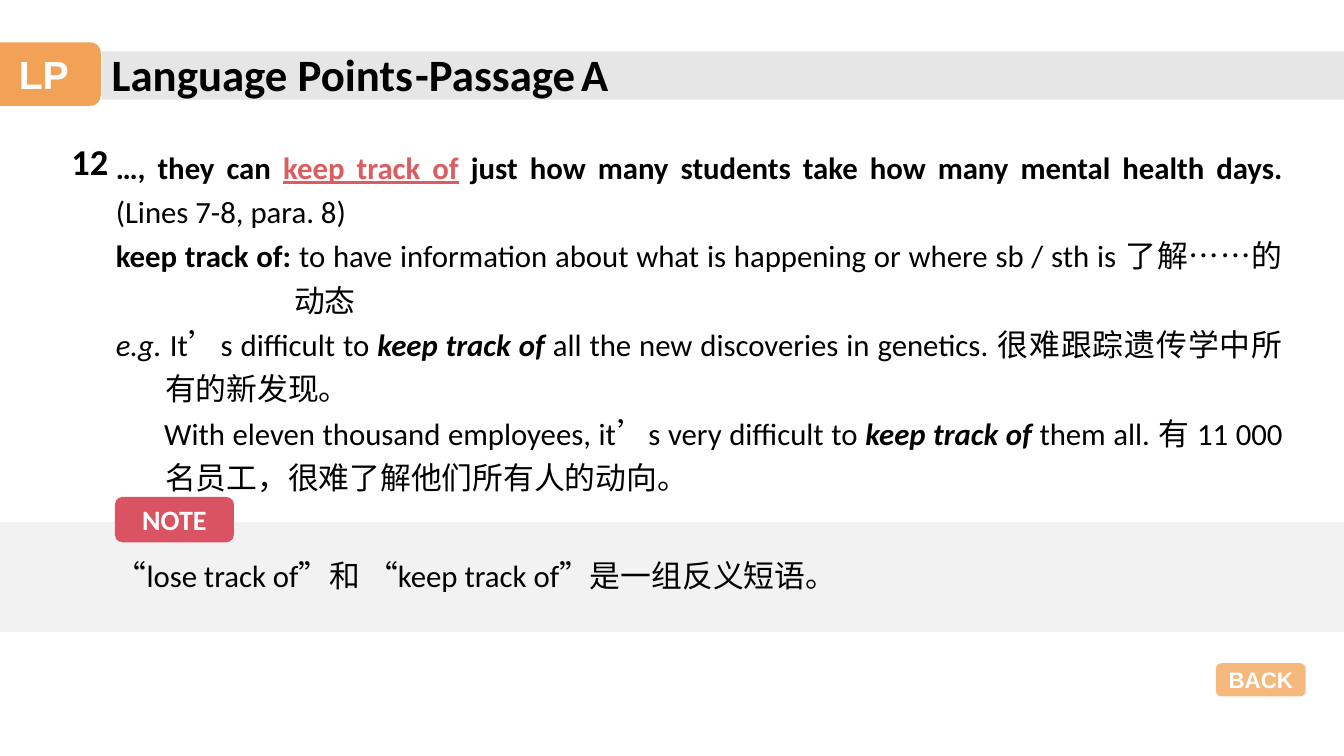
from lxml import etree
from pptx import Presentation
from pptx.dml.color import RGBColor
from pptx.enum.lang import MSO_LANGUAGE_ID
from pptx.enum.shapes import MSO_SHAPE
from pptx.enum.text import MSO_ANCHOR, MSO_AUTO_SIZE, PP_ALIGN
from pptx.oxml.ns import qn
from pptx.util import Inches, Pt

RECT, ROUNDED = MSO_SHAPE.RECTANGLE, MSO_SHAPE.ROUNDED_RECTANGLE
CENTER, JUSTIFY = PP_ALIGN.CENTER, PP_ALIGN.JUSTIFY
MIDDLE = MSO_ANCHOR.MIDDLE
GROW = MSO_AUTO_SIZE.SHAPE_TO_FIT_TEXT
CHINESE = MSO_LANGUAGE_ID.SIMPLIFIED_CHINESE

LATIN_FONT, CJK_FONT = "Calibri", "Noto Sans CJK SC"
ORANGE, RED, KEY_RED = "F19B48", "DA5362", "DD5C60"
WHITE, BLACK = "FFFFFF", "000000"

BOLD = {"bold": True}
PHRASE = {"bold": True, "italic": True}

# Each entry: left margin, first-line indent, runs of (text, format)
EXPLANATION = [
    (0, 0, [
        ("…, they can ", BOLD),
        ("keep track of", {"bold": True, "underline": True, "color": KEY_RED}),
        (" just how many students take how many mental health days. ", BOLD),
        ("(Lines 7-8, para. 8)", {}),
    ]),
    (1.77, -1.77, [
        ("keep track of: ", BOLD),
        ("to have information about what is happening or where sb / sth is 了解", {}),
        ("……", {"name": CJK_FONT}),
        ("的动态 ", {}),
    ]),
    (0.49, -0.49, [
        ("e.g. ", {"italic": True}),
        ("It’s difficult to ", {}),
        ("keep track of ", PHRASE),
        ("all the new discoveries in genetics. 很难跟踪遗传学中所有的新发现。", {}),
    ]),
    (0.49, -0.01, [
        ("With eleven thousand employees, it’s very difficult to ", {}),
        ("keep track of ", PHRASE),
        ("them all. 有 11 000 名员工，很难了解他们所有人的动向。", {}),
    ]),
]
NOTE = [(0, 0, [("“lose track of”和 “keep track of”是一组反义短语。", {})])]


def rgb(color):
    return RGBColor.from_string(color)


def set_font(font, size, color=BLACK, bold=False, name=LATIN_FONT):
    font.size = Pt(size)
    font.bold = bold
    font.color.rgb = rgb(color)
    font.name = name


def add_block(slide, shape_kind, left, top, width, height, color, opacity=100):
    block = slide.shapes.add_shape(
        shape_kind, Inches(left), Inches(top), Inches(width), Inches(height))
    block.shadow.inherit = False
    block.fill.solid()
    block.fill.fore_color.rgb = rgb(color)
    block.line.fill.background()
    if opacity < 100:
        fill_color = block.fill._xPr.find(qn("a:solidFill"))[0]
        etree.SubElement(fill_color, qn("a:alpha")).set("val", str(opacity * 1000))
    return block


def add_badge(slide, label, left, top, width, height, color, size, name, opacity=100):
    badge = add_block(slide, ROUNDED, left, top, width, height, color, opacity)
    frame = badge.text_frame
    frame.vertical_anchor = MIDDLE
    frame.word_wrap = False
    paragraph = frame.paragraphs[0]
    paragraph.text = label
    paragraph.alignment = CENTER
    set_font(paragraph.font, size, WHITE, True, name)


def add_text_frame(slide, left, top, width, height):
    frame = slide.shapes.add_textbox(
        Inches(left), Inches(top), Inches(width), Inches(height)).text_frame
    frame.word_wrap = True
    frame.auto_size = GROW
    return frame


def add_heading(slide, left, top, width, height, runs):
    """Add one bold line; runs are (text, size) pairs."""
    paragraph = add_text_frame(slide, left, top, width, height).paragraphs[0]
    for text, size in runs:
        run = paragraph.add_run()
        run.text = text
        set_font(run.font, size, bold=bool(text.strip()))


def add_body(slide, left, top, width, height, entries, alignment=None):
    """Add bilingual paragraphs with hanging indents."""
    frame = add_text_frame(slide, left, top, width, height)
    for index, (margin, indent, runs) in enumerate(entries):
        paragraph = frame.add_paragraph() if index else frame.paragraphs[0]
        paragraph.alignment = alignment
        paragraph.line_spacing = 1.2
        properties = paragraph._p.get_or_add_pPr()
        properties.set("marL", str(Inches(margin)))
        properties.set("indent", str(Inches(indent)))
        set_font(paragraph.font, 22)
        for text, style in runs:
            run = paragraph.add_run()
            run.text = text
            run.font.language_id = CHINESE
            run.font.bold = style.get("bold")
            run.font.italic = style.get("italic")
            run.font.underline = style.get("underline")
            if "color" in style:
                run.font.color.rgb = rgb(style["color"])
            if "name" in style:
                run.font.name = style["name"]
            east_asian = etree.SubElement(run._r.get_or_add_rPr(), qn("a:ea"))
            east_asian.set("typeface", CJK_FONT)


def main():
    presentation = Presentation()
    presentation.slide_width = Inches(13.33)
    presentation.slide_height = Inches(7.5)
    slide = presentation.slides.add_slide(presentation.slide_layouts[6])

    add_block(slide, RECT, 1.01, 0.51, 12.32, 0.48, "E7E6E6")
    add_heading(slide, 1.01, 0.41, 4.85, 0.64, [("Language Points", 32)])
    add_heading(slide, 4.02, 0.41, 2.47, 0.64,
                [("-Passage", 32), (" ", 18), ("A", 32)])
    add_badge(slide, "LP", -0.13, 0.42, 1.13, 0.63, ORANGE, 28, "Arial", 92)

    add_heading(slide, 0.61, 1.33, 0.63, 0.54, [("12", 26)])
    add_body(slide, 1.05, 1.35, 11.77, 3.66, EXPLANATION, JUSTIFY)

    add_block(slide, RECT, 0, 5.18, 13.33, 1.09, "F2F2F2")
    add_body(slide, 1.05, 5.4, 11.84, 0.55, NOTE)
    add_badge(slide, "NOTE", 1.14, 4.93, 1.18, 0.45, RED, 20, LATIN_FONT)
    add_badge(slide, "BACK", 12.06, 6.58, 0.89, 0.33, ORANGE, 16, "Arial", 71)

    presentation.save("out.pptx")


if __name__ == "__main__":
    main()
